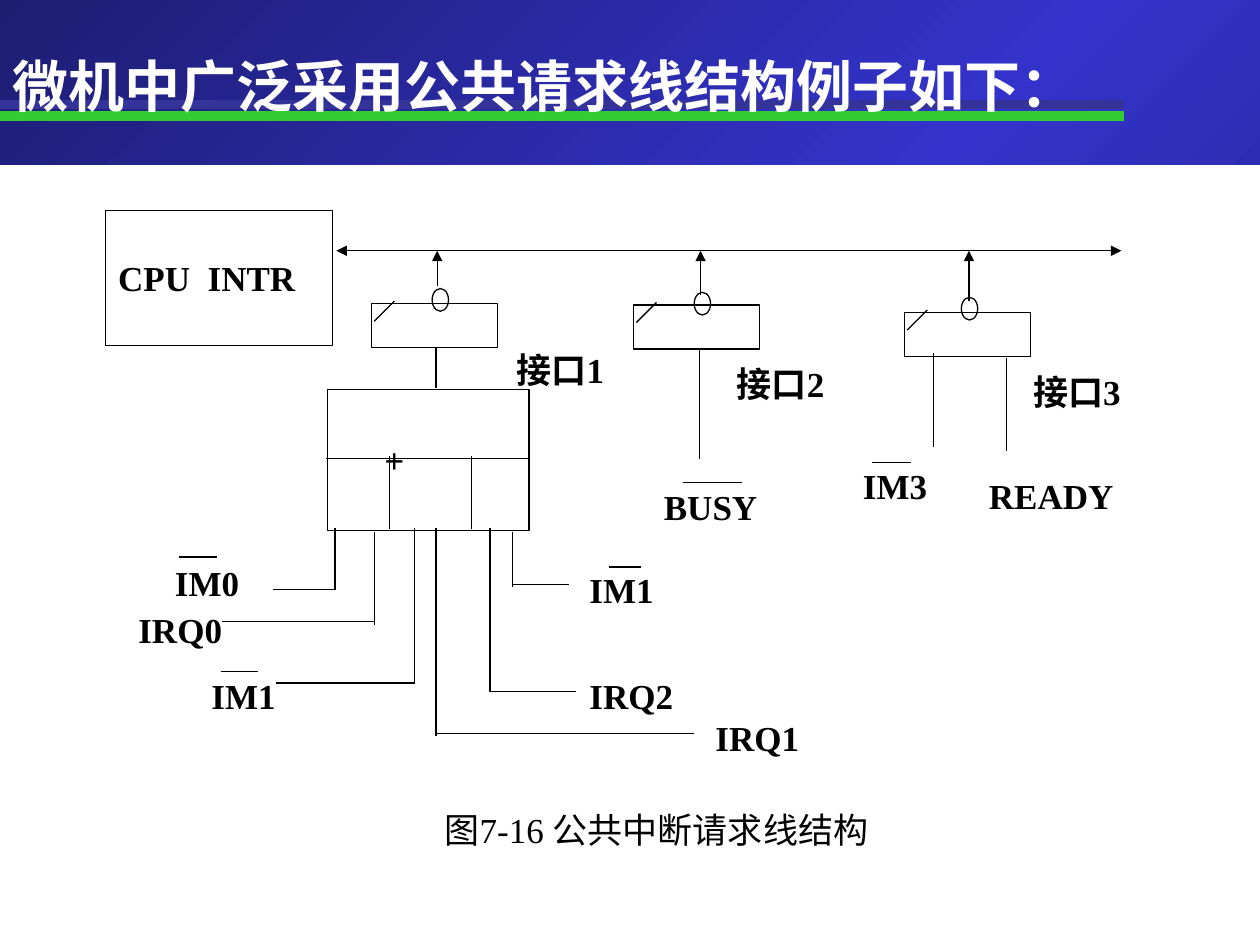
from copy import deepcopy
from dataclasses import dataclass
from typing import Optional

from lxml import etree
from pptx import Presentation
from pptx.dml.color import RGBColor
from pptx.enum.shapes import MSO_CONNECTOR, MSO_SHAPE
from pptx.enum.text import MSO_ANCHOR, MSO_AUTO_SIZE, PP_ALIGN
from pptx.oxml.ns import qn
from pptx.util import Inches, Pt

RECT, OVAL = MSO_SHAPE.RECTANGLE, MSO_SHAPE.OVAL
STRAIGHT = MSO_CONNECTOR.STRAIGHT
TOP, MIDDLE = MSO_ANCHOR.TOP, MSO_ANCHOR.MIDDLE
LEFT, CENTER, JUST = PP_ALIGN.LEFT, PP_ALIGN.CENTER, PP_ALIGN.JUSTIFY
GROW = MSO_AUTO_SIZE.SHAPE_TO_FIT_TEXT


@dataclass(frozen=True)
class Theme:
    ink: str = "000000"
    paper: str = "FFFFFF"
    navy: str = "1D1D72"
    blue: str = "3333CC"
    shade: str = "333399"
    green: str = "33CC33"
    latin: str = "Times New Roman"
    asian: str = "Noto Sans CJK SC"
    head: float = 32
    body: float = 20
    thin: float = 0.75
    thick: float = 5.5


@dataclass(frozen=True)
class Gate:
    """Interface box with its slash, ring and arrow to the bus."""
    x: float
    y: float
    ring: tuple[float, float]
    stem: float
    foot: float


@dataclass(frozen=True)
class Lead:
    """Wire that drops from the OR box and bends to a label."""
    x: float
    top: float
    foot: float
    bend: float
    end: float


@dataclass(frozen=True)
class Label:
    """Signal name; bar holds left, right and height of its overline."""
    text: str
    x: float
    y: float
    w: float = 10.5
    h: float = 7
    bar: Optional[tuple[float, float, float]] = None


# The slide is a grid of 100 columns and 75 rows of square cells
THEME = Theme()
CELL = Inches(0.1)
BUS = 19.9

GATES = [
    Gate(29.5, 24.1, (34.3, 22.9), 34.7, 22.7),
    Gate(50.3, 24.2, (55.1, 23.2), 55.6, 23.4),
    Gate(71.8, 24.8, (76.3, 23.6), 76.9, 23.9),
]
LEADS = [
    Lead(40.7, 42.2, 46.6, 46.4, 45.2),
    Lead(38.9, 41.9, 54.9, 54.9, 45.7),
    Lead(26.6, 41.9, 46.8, 46.8, 21.7),
    Lead(29.7, 42.2, 49.6, 49.3, 17.6),
    Lead(32.9, 41.9, 54.2, 54.2, 21.9),
    Lead(34.6, 41.9, 58.4, 58.2, 55.1),
]
DROPS = [  # column, first row, last row
    (30.9, 36.2, 42), (37.4, 36.2, 42), (34.6, 27.6, 30.8),
    (55.5, 27.8, 36.4), (74.1, 28, 35.5), (79.9, 28.4, 35.8),
]
LABELS = [
    Label("IM1", 45.8, 43.3, bar=(48.3, 50.9, 45)),
    Label("IRQ2", 45.8, 51.7),
    Label("IRQ1", 55.8, 55),
    Label("IM1", 15.8, 51.7, 7.9, bar=(17.5, 20.5, 53.3)),
    Label("IRQ0", 10, 46.7, 9.7, 6.5),
    Label("IM0", 12.9, 43.1, 7.7, 6.3, bar=(14.2, 17.2, 44.2)),
    Label("接口1", 40, 25.8),
    Label("BUSY", 51.7, 36.7, bar=(54.2, 58.9, 38.3)),
    Label("接口2", 57.5, 26.7, 9.4, 7.4),
    Label("IM3", 67.5, 35, bar=(69.2, 72.3, 36.7)),
    Label("接口3", 81, 28.1, 10.5, 6),
    Label("READY", 77.5, 35.8, 12.9),
]


def span(*cells: float) -> list[int]:
    return [round(n * CELL) for n in cells]


def rgb(code: str) -> RGBColor:
    return RGBColor.from_string(code)


def write(shape, text: str, size: float = THEME.body, color: str = THEME.ink,
          bold: bool = True, align=JUST, anchor=MIDDLE,
          latin: str = THEME.latin, tab: Optional[float] = None) -> None:
    frame = shape.text_frame
    frame.word_wrap = True
    frame.vertical_anchor = anchor
    para = frame.paragraphs[0]
    para.alignment = align
    if tab is not None:
        stops = etree.SubElement(para._p.get_or_add_pPr(), qn("a:tabLst"))
        etree.SubElement(stops, qn("a:tab"), pos=str(span(tab)[0]), algn="l")
    run = para.add_run()
    run.text = text
    font = run.font
    font.size, font.bold, font.name = Pt(size), bold, latin
    font.color.rgb = rgb(color)
    etree.SubElement(run._r.get_or_add_rPr(), qn("a:ea"), typeface=THEME.asian)


def line(slide, x1: float, y1: float, x2: float, y2: float,
         color: str = THEME.ink, width: float = THEME.thin,
         ends: tuple[str, ...] = ()) -> None:
    wire = slide.shapes.add_connector(STRAIGHT, *span(x1, y1, x2, y2))
    wire.line.color.rgb = rgb(color)
    wire.line.width = Pt(width)
    props = wire.element.spPr
    for end in ends:
        etree.SubElement(props.find(qn("a:ln")), qn(f"a:{end}"), type="triangle")
    etree.SubElement(props, qn("a:effectLst"))


def box(slide, x: float, y: float, w: float, h: float, kind=RECT,
        fill: Optional[str] = None):
    shape = slide.shapes.add_shape(kind, *span(x, y, w, h))
    shape.shadow.inherit = False
    if fill:
        shape.fill.solid()
        shape.fill.fore_color.rgb = rgb(fill)
        shape.line.fill.background()
    else:
        shape.fill.background()
        shape.line.color.rgb = rgb(THEME.ink)
        shape.line.width = Pt(THEME.thin)
    return shape


def paint(slide) -> None:
    fill = slide.background.fill
    fill.gradient()
    fill.gradient_angle = 315
    stops = slide.background._cSld.find(".//" + qn("a:gsLst"))
    stops.append(deepcopy(stops[0]))
    shades = (THEME.navy, THEME.blue, THEME.navy)
    for stop, shade, place in zip(fill.gradient_stops, shades, (0, 0.5, 1)):
        stop.color.rgb = rgb(shade)
        stop.position = place


def draw_gate(slide, gate: Gate) -> None:
    x, y = gate.x, gate.y
    box(slide, x, y, 10, 3.5)
    line(slide, x + 0.2, y + 1.4, x + 1.8, y - 0.2)
    box(slide, *gate.ring, 1.3, 1.8, kind=OVAL)
    line(slide, gate.stem, gate.foot, gate.stem, BUS, ends=("tailEnd",))


def draw_lead(slide, lead: Lead) -> None:
    line(slide, lead.x, lead.top, lead.x, lead.foot)
    line(slide, lead.x, lead.bend, lead.end, lead.bend)


def draw_label(slide, label: Label) -> None:
    area = slide.shapes.add_textbox(*span(label.x, label.y, label.w, label.h))
    write(area, label.text)
    if label.bar:
        left, right, row = label.bar
        line(slide, left, row, right, row)


def main() -> None:
    deck = Presentation()
    deck.slide_width, deck.slide_height = span(100, 75)
    slide = deck.slides.add_slide(deck.slide_layouts[5])
    paint(slide)

    # Header: two rules under the title
    for row, color in ((9.2, THEME.green), (8.3, THEME.shade)):
        line(slide, 0, row, 89.2, row, color, THEME.thick)
    title = slide.shapes.title
    title.left, title.top, title.width, title.height = span(0, 3.6, 85.6, 6.3)
    write(title, "微机中广泛采用公共请求线结构例子如下：", size=THEME.head,
          color=THEME.paper, align=LEFT, anchor=TOP, latin=THEME.asian)
    title.text_frame.auto_size = GROW
    title.element.getparent().append(title.element)

    # White panel and caption
    box(slide, 0, 13.1, 100, 61.9, fill=THEME.paper)
    note = slide.shapes.add_textbox(*span(6.7, 63.2, 90.8, 9.3))
    note.text_frame.margin_top = CELL
    write(note, "图7-16 公共中断请求线结构", bold=False, align=CENTER, anchor=TOP)

    # Processor, bus and interfaces
    line(slide, 26.7, BUS, 89, BUS, ends=("headEnd", "tailEnd"))
    write(box(slide, 8.4, 16.7, 18, 10.7), "CPU\tINTR", tab=7.1)
    for gate in GATES:
        draw_gate(slide, gate)

    # OR box with its wires
    adder = box(slide, 26, 30.9, 16, 11.2)
    adder.text_frame.margin_left = span(4.5)[0]
    write(adder, "+")
    line(slide, 25.9, 36.4, 42.1, 36.4)
    for col, top, foot in DROPS:
        line(slide, col, top, col, foot)
    for lead in LEADS:
        draw_lead(slide, lead)

    # Signal names
    for label in LABELS:
        draw_label(slide, label)
    deck.save("out.pptx")


if __name__ == "__main__":
    main()
